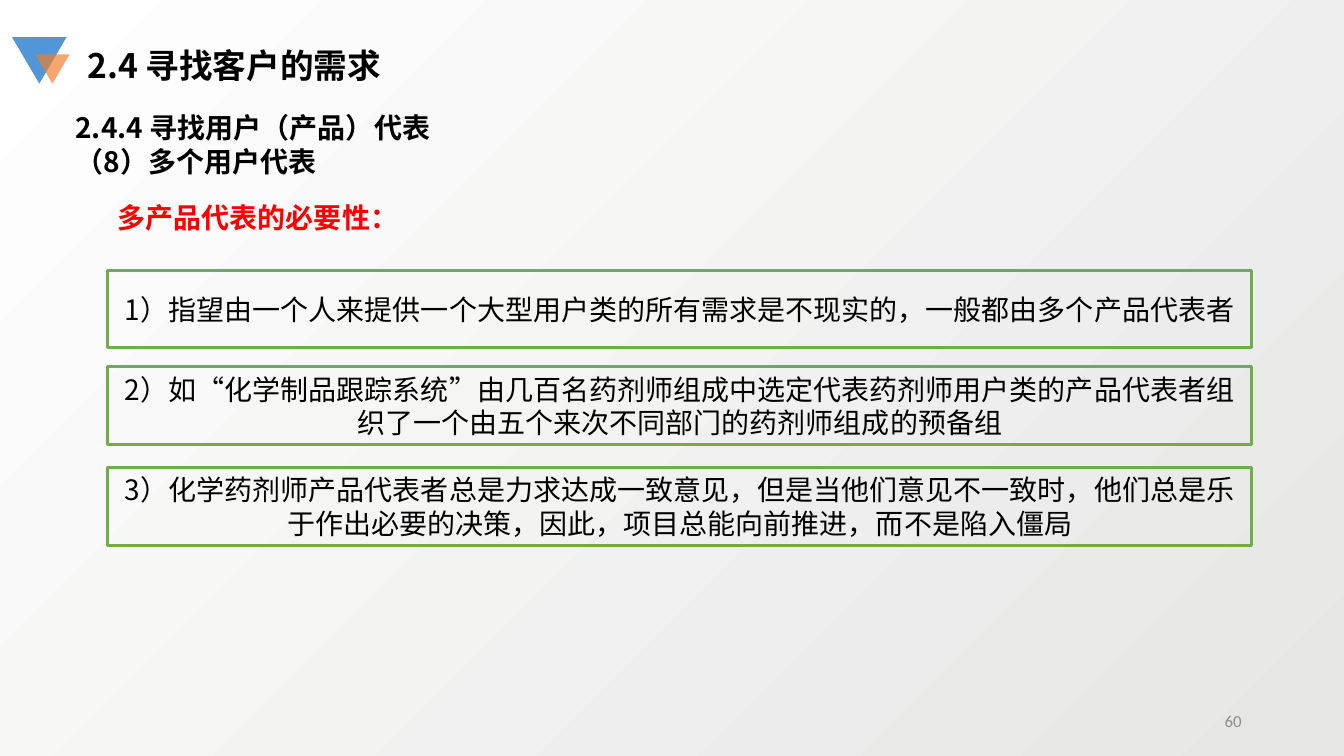
from dataclasses import dataclass

from lxml import etree
from pptx import Presentation
from pptx.dml.color import RGBColor
from pptx.enum.shapes import MSO_SHAPE
from pptx.enum.text import MSO_ANCHOR, MSO_AUTO_SIZE, PP_ALIGN
from pptx.oxml.ns import qn
from pptx.util import Pt

TRIANGLE, RECT = MSO_SHAPE.ISOSCELES_TRIANGLE, MSO_SHAPE.RECTANGLE
TOP, MIDDLE = MSO_ANCHOR.TOP, MSO_ANCHOR.MIDDLE
LEFT, CENTER, RIGHT = PP_ALIGN.LEFT, PP_ALIGN.CENTER, PP_ALIGN.RIGHT
GROW = MSO_AUTO_SIZE.SHAPE_TO_FIT_TEXT


@dataclass(frozen=True)
class Theme:
    """Colours, fonts and type sizes of the slide."""
    ink: str = "000000"
    accent: str = "FF0000"
    muted: str = "8C8C8C"
    border: str = "70AD47"
    blue: str = "5197D7"
    orange: str = "F37D2A"
    shade: str = "E6E6E5"
    light: str = "FFFFFF"
    font: str = "Noto Sans CJK SC"
    number_font: str = "Calibri"
    title: int = 24
    body: int = 20
    small: int = 12


T = Theme()

REASONS = [
    (193, "1）指望由一个人来提供一个大型用户类的所有需求是不现实的，一般都由多个产品代表者"),
    (262, "2）如“化学制品跟踪系统”由几百名药剂师组成中选定代表药剂师用户类的产品代表者组"
          "织了一个由五个来次不同部门的药剂师组成的预备组"),
    (334, "3）化学药剂师产品代表者总是力求达成一致意见，但是当他们意见不一致时，他们总是乐"
          "于作出必要的决策，因此，项目总能向前推进，而不是陷入僵局"),
]


def rgb(color):
    """Turn a hex string into a colour."""
    return RGBColor.from_string(color)


def write(tf, text, size=T.body, color=T.ink, font=T.font, bold=False,
          align=LEFT, anchor=TOP):
    """Fill a text frame, one paragraph per line of text."""
    tf.word_wrap = True
    tf.vertical_anchor = anchor
    for i, line in enumerate(text.split("\n")):
        p = tf.add_paragraph() if i else tf.paragraphs[0]
        p.alignment = align
        r = p.add_run()
        r.text = line
        r.font.size = Pt(size)
        r.font.bold = bold
        r.font.name = font
        r.font.color.rgb = rgb(color)
        etree.SubElement(r.font._element, qn("a:ea"), typeface=font)


def add_text(s, box, text, grow=True, **fmt):
    """Add a text box that can grow with its text."""
    tf = s.shapes.add_textbox(*map(Pt, box)).text_frame
    write(tf, text, **fmt)
    if grow:
        tf.auto_size = GROW


def add_triangle(s, box, color, alpha=100):
    """Add a downward triangle with a given opacity in percent."""
    sp = s.shapes.add_shape(TRIANGLE, *map(Pt, box))
    sp.shadow.inherit = False
    sp.rotation = 180
    sp.fill.solid()
    sp.fill.fore_color.rgb = rgb(color)
    sp.line.fill.background()
    if alpha < 100:
        clr = sp.fill._xPr.find(".//" + qn("a:srgbClr"))
        etree.SubElement(clr, qn("a:alpha"), val=str(alpha * 1000))


def add_reason(s, top, text):
    """Add an outlined box with a centred reason."""
    sp = s.shapes.add_shape(RECT, Pt(77), Pt(top), Pt(817.2), Pt(55.5))
    sp.shadow.inherit = False
    sp.fill.background()
    sp.line.color.rgb = rgb(T.border)
    sp.line.width = Pt(2)
    write(sp.text_frame, text, align=CENTER, anchor=MIDDLE)


def paint_background(s):
    """Shade the slide from light top left to grey bottom right."""
    fill = s.background.fill
    fill.gradient()
    fill.gradient_angle = 135
    for stop, color, position in zip(fill.gradient_stops, (T.shade, T.light), (0, 1)):
        stop.color.rgb = rgb(color)
        stop.position = position


def main():
    """Build the slide and save it."""
    prs = Presentation()
    prs.slide_width, prs.slide_height = Pt(960), Pt(540)
    s = prs.slides.add_slide(prs.slide_layouts[6])
    paint_background(s)
    add_triangle(s, (8.6, 26.6, 38.9, 33.1), T.blue)
    add_triangle(s, (25.2, 38.9, 24.5, 20.9), T.orange, alpha=68)
    add_text(s, (55.4, 28.8, 281.5, 36), "2.4 寻找客户的需求", size=T.title, bold=True)
    add_text(s, (678, 500.4, 216, 28.8), "60", grow=False, size=T.small, color=T.muted,
             font=T.number_font, align=RIGHT, anchor=MIDDLE)
    add_text(s, (46.8, 75.6, 661.7, 55.4),
             "2.4.4 寻找用户（产品）代表\n（8）多个用户代表", bold=True)
    add_text(s, (77, 139.7, 216, 31.7), "多产品代表的必要性：", color=T.accent, bold=True)
    for top, text in REASONS:
        add_reason(s, top, text)
    prs.save("out.pptx")


if __name__ == "__main__":
    main()
